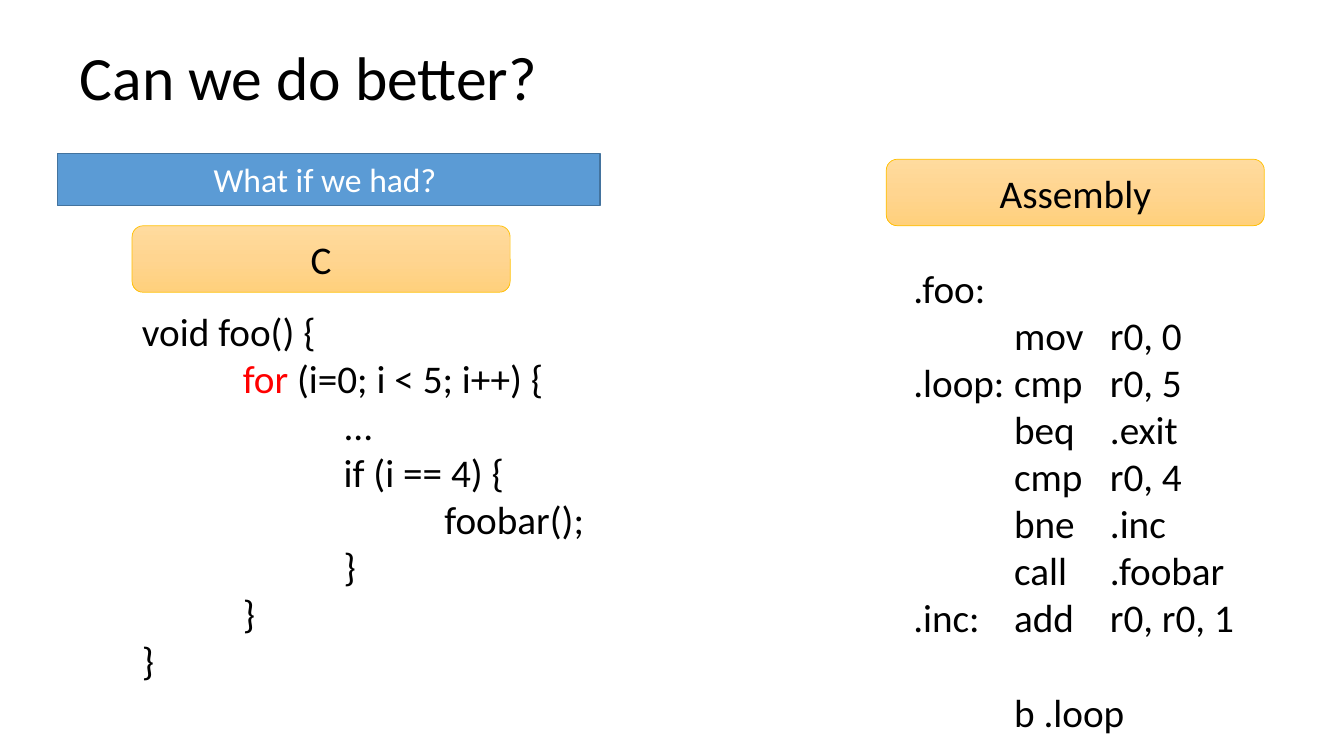
from copy import deepcopy

from lxml import etree
from pptx import Presentation
from pptx.dml.color import RGBColor
from pptx.enum import shapes, text
from pptx.oxml.ns import qn
from pptx.util import Inches, Pt

COLORS = {
    "black": "000000",
    "white": "FFFFFF",
    "keyword": "FF0000",
    "banner": "5B9BD5",
    "banner_edge": "43739E",
    "label_edge": "FFC000",
    "label_top": "FFDB9E",
    "label_middle": "FFD590",
    "label_bottom": "FFD07C",
}


def rgb(name):
    return RGBColor.from_string(COLORS[name])


def write(paragraph, pieces, size, color="black"):
    for words, piece_color in pieces:
        run = paragraph.add_run()
        run.text = words
        run.font.color.rgb = rgb(piece_color or color)
    paragraph.font.size = Pt(size)
    paragraph.font.name = "Calibri"
    paragraph.font.color.rgb = rgb(color)


deck = Presentation()
deck.slide_width, deck.slide_height = Inches(13.33), Inches(7.5)
slide = deck.slides.add_slide(deck.slide_layouts[5])

title = slide.shapes.title
title.left, title.top, title.width, title.height = map(Inches, (0.69, 0.07, 11.5, 1.45))
title.text_frame.vertical_anchor = text.MSO_ANCHOR.MIDDLE
heading = title.text_frame.paragraphs[0]
heading.alignment = text.PP_ALIGN.LEFT
heading.line_spacing = 0.9
write(heading, [("Can we do better?", None)], 44)

c_code = [
    [("void foo() {", None)],
    [("\t", None), ("for", "keyword"), (" (i=0; i < 5; i++) {", None)],
    [("\t\t...", None)],
    [("\t\tif (i == 4) {", None)],
    [("\t\t\tfoobar();", None)],
    [("\t\t}", None)],
    [("\t}", None)],
    [("}", None)],
]
assembly_code = [
    [(line, None)]
    for line in (
        ".foo:",
        "\tmov\tr0, 0",
        ".loop:\tcmp\tr0, 5",
        "\tbeq\t.exit",
        "\tcmp\tr0, 4",
        "\tbne\t.inc",
        "\tcall\t.foobar",
        ".inc:\tadd\tr0, r0, 1",
        "\tb .loop",
    )
]
listings = [
    (c_code, (1.31, 3, 4.63, 3.87), (1, 2, 3)),
    (assembly_code, (8.96, 2.57, 3.42, 4.85), (1, 1.95)),
]
for lines, place, stops in listings:
    listing = slide.shapes.add_textbox(*map(Inches, place)).text_frame
    listing.word_wrap = True
    for number, pieces in enumerate(lines):
        code_line = listing.add_paragraph() if number else listing.paragraphs[0]
        tabs = etree.SubElement(code_line._p.get_or_add_pPr(), qn("a:tabLst"))
        for stop in stops:
            etree.SubElement(tabs, qn("a:tab"), pos=str(Inches(stop)), algn="l")
        write(code_line, pieces, 28)
code_line.space_before = Pt(34)

ROUNDED = shapes.MSO_SHAPE.ROUNDED_RECTANGLE
headers = [
    ("C", ROUNDED, (1.31, 2.24, 3.75, 0.66), 28, "black", "label_edge", 0.5),
    ("Assembly", ROUNDED, (8.79, 1.58, 3.75, 0.66), 28, "black", "label_edge", 0.5),
    ("What if we had? ", shapes.MSO_SHAPE.RECTANGLE, (0.57, 1.52, 5.38, 0.52),
     24, "white", "banner_edge", 1),
]
for words, outline, place, size, color, edge, weight in headers:
    header = slide.shapes.add_shape(outline, *map(Inches, place))
    header.shadow.inherit = False
    header.line.color.rgb = rgb(edge)
    header.line.width = Pt(weight)
    if outline == ROUNDED:
        header.fill.gradient()
        header.fill.gradient_angle = 270
        first_stop = header._element.spPr.find(".//" + qn("a:gs"))
        first_stop.addnext(deepcopy(first_stop))
        shades = ("label_top", "label_middle", "label_bottom")
        for step, (stop, shade) in enumerate(zip(header.fill.gradient_stops, shades)):
            stop.position = step / 2
            stop.color.rgb = rgb(shade)
    else:
        header.fill.solid()
        header.fill.fore_color.rgb = rgb("banner")
    header.text_frame.vertical_anchor = text.MSO_ANCHOR.MIDDLE
    caption = header.text_frame.paragraphs[0]
    caption.alignment = text.PP_ALIGN.CENTER
    write(caption, [(words, None)], size, color)

deck.save("out.pptx")
